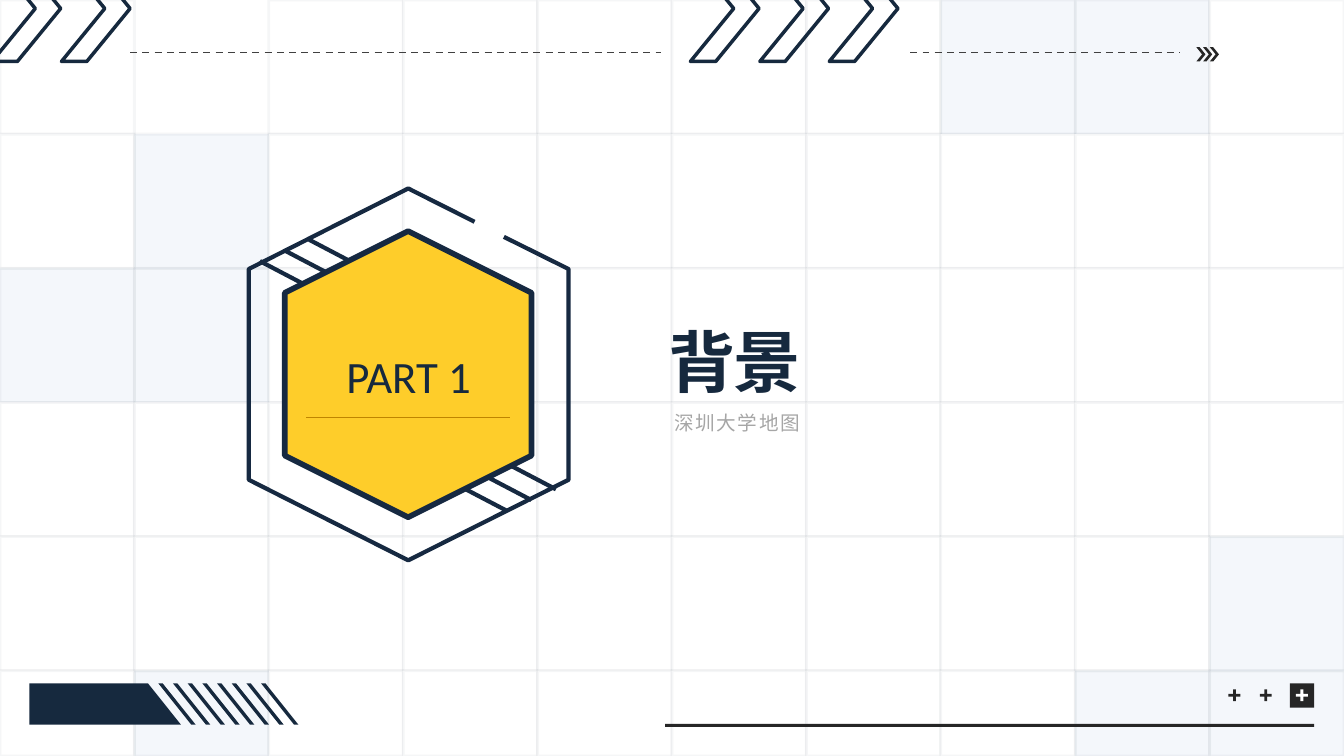
from pptx import Presentation
from pptx.dml.color import RGBColor
from pptx.enum.dml import MSO_LINE
from pptx.enum.shapes import MSO_CONNECTOR, MSO_SHAPE
from pptx.enum.text import MSO_ANCHOR, MSO_AUTO_SIZE, PP_ALIGN
from pptx.oxml.ns import qn
from pptx.util import Cm, Pt
from lxml import etree

RECT, HEXAGON = MSO_SHAPE.RECTANGLE, MSO_SHAPE.HEXAGON
CHEVRON, PLUS = MSO_SHAPE.CHEVRON, MSO_SHAPE.CROSS
STRAIGHT, DASH = MSO_CONNECTOR.STRAIGHT, MSO_LINE.DASH
LEFT, CENTER = PP_ALIGN.LEFT, PP_ALIGN.CENTER
TOP, MIDDLE = MSO_ANCHOR.TOP, MSO_ANCHOR.MIDDLE

THEME = {
    "white": "FFFFFF", "navy": "16293E", "outline": "162941", "tint": "E0E9F4",
    "yellow": "FECD2A", "gold": "BF8500", "ink": "262626", "dash": "404040",
    "muted": "A6A6A6", "latin": "Calibri", "cjk": "Noto Sans CJK SC",
    "title": 48, "part": 32, "subtitle": 14,
}

# text, box (left, top, width, height), alignment, anchor, line spacing, tracking, font
TEXTS = [
    ("深圳大学地图", (16.76, 10.24, 11.96, 0.86), LEFT, TOP, 1.0, 100,
     {"name": "cjk", "size": "subtitle", "color": "muted", "bold": False}),
    ("背景", (16.59, 7.54, 12.29, 2.72), LEFT, TOP, 1.2, -100,
     {"name": "cjk", "size": "title", "color": "navy", "bold": True}),
    ("PART 1", (7.52, 8.64, 5.56, 1.63), CENTER, MIDDLE, 1.0, 0,
     {"name": "latin", "size": "part", "color": "navy", "bold": False}),
]

# Background grid, cells given as (column, row)
SLIDE_W, SLIDE_H = 33.87, 19.05
COLS, ROWS, ROW_STEP = 10, 6, 3.38
EMPTY_CELL = (1, 0)
TINTED_CELLS = {(7, 0), (8, 0), (1, 1), (0, 2), (1, 2), (9, 4), (1, 5), (8, 5), (9, 5)}

FRAME = [(12.7, 5.97), (14.33, 6.78), (14.33, 12.09), (10.29, 14.12),
         (6.27, 12.09), (6.27, 6.78), (10.29, 4.75), (11.96, 5.59)]
HATCH_STARTS = [(6.55, 6.58), (11.53, 12.22)]
CHEVRON_GROUPS = [(-0.2, 2), (17.4, 3)]  # left edge, count
DASHED_RULES = [(3.28, 16.66), (22.94, 29.74)]
PLUS_SIGNS = [(30.96, "ink"), (31.75, "ink"), (32.66, "white")]
BANNER_TOP, BANNER_BOTTOM = 17.22, 18.26
STRIPES, STRIPE_LEFT, STRIPE_STEP = 8, 3.99, 0.37
STRIPE_W, SLANT = 0.11, 0.83

prs = Presentation()
prs.slide_width, prs.slide_height = Cm(SLIDE_W), Cm(SLIDE_H)
s = prs.slides.add_slide(prs.slide_layouts[6])


def color(name):
    return RGBColor.from_string(THEME[name])


def set_alpha(fill_parent, percent):
    """Make the solid fill directly inside the given element translucent."""
    clr = fill_parent.find(qn("a:solidFill"))[0]
    etree.SubElement(clr, qn("a:alpha")).set("val", str(percent * 1000))


def paint(sp, fill=None, line=None, width=1):
    sp.shadow.inherit = False
    if fill:
        sp.fill.solid()
        sp.fill.fore_color.rgb = color(fill)
    else:
        sp.fill.background()
    if line:
        sp.line.color.rgb = color(line)
        sp.line.width = Pt(width)
    else:
        sp.line.fill.background()
    return sp


def add_shape(kind, box, adj=None, **look):
    sp = s.shapes.add_shape(kind, *(Cm(v) for v in box))
    if adj is not None:
        sp.adjustments[0] = adj
    return paint(sp, **look)


def add_outline(points, close=True, **look):
    start, *rest = [(Cm(x), Cm(y)) for x, y in points]
    builder = s.shapes.build_freeform(*start)
    builder.add_line_segments(rest, close=close)
    return paint(builder.convert_to_shape(), **look)


def add_line(x1, y1, x2, y2, line, width, dash=None):
    sp = s.shapes.add_connector(STRAIGHT, Cm(x1), Cm(y1), Cm(x2), Cm(y2))
    sp.line.color.rgb = color(line)
    sp.line.width = Pt(width)
    if dash:
        sp.line.dash_style = dash
    etree.SubElement(sp._element.spPr, qn("a:effectLst"))


def add_text(text, box, align, anchor, spacing, tracking, font):
    tf = s.shapes.add_textbox(*(Cm(v) for v in box)).text_frame
    frame = {"word_wrap": True, "auto_size": MSO_AUTO_SIZE.SHAPE_TO_FIT_TEXT,
             "vertical_anchor": anchor}
    for key, value in frame.items():
        setattr(tf, key, value)
    p = tf.paragraphs[0]
    p.alignment, p.line_spacing = align, spacing
    r = p.add_run()
    r.text = text
    r.font.color.rgb = color(font["color"])
    face = THEME[font["name"]]
    values = {"name": face, "size": Pt(THEME[font["size"]]), "bold": font["bold"]}
    for key, value in values.items():
        setattr(r.font, key, value)
    rpr = r._r.get_or_add_rPr()
    rpr.set("spc", str(tracking))
    etree.SubElement(rpr, qn("a:ea")).set("typeface", face)


def draw_grid():
    col_w = SLIDE_W / COLS
    for row in range(ROWS):
        top = row * ROW_STEP
        height = min(col_w, SLIDE_H - top)
        for col in range(COLS):
            if (col, row) == EMPTY_CELL:
                continue
            tinted = (col, row) in TINTED_CELLS
            sp = add_shape(RECT, (col * col_w, top, col_w, height),
                           fill="tint" if tinted else "white", line="navy", width=2)
            if tinted:
                set_alpha(sp._element.spPr, 34)
            set_alpha(sp._element.spPr.find(qn("a:ln")), 3)


def draw_badge():
    add_outline(FRAME, close=False, line="outline", width=3)
    for x, y in HATCH_STARTS:
        for i in range(3):
            x1, y1 = x + 0.62 * i, y - 0.27 * i
            add_line(x1, y1, x1 + 1.24, y1 + 0.65, "outline", 3)
    sp = add_shape(HEXAGON, (6.68, 6.32, 7.21, 6.22), fill="yellow", line="outline", width=4)
    sp.rotation = 90


def draw_header():
    for left, count in CHEVRON_GROUPS:
        for i in range(count):
            add_shape(CHEVRON, (left + 1.75 * i, -1.12, 1.73, 2.67), 0.631,
                      line="navy", width=2.5)
    for x1, x2 in DASHED_RULES:
        add_line(x1, 1.32, x2, 1.32, "dash", 1.25, DASH)
    for i in range(3):
        add_shape(CHEVRON, (30.15 + 0.17 * i, 1.19, 0.23, 0.36), 0.631, fill="ink")


def draw_footer():
    add_shape(RECT, (32.51, 17.22, 0.61, 0.61), fill="ink")
    for left, fill in PLUS_SIGNS:
        add_shape(PLUS, (left, 17.37, 0.3, 0.3), 0.382, fill=fill)
    add_shape(RECT, (16.76, 18.24, 16.36, 0.08), fill="ink")
    add_outline([(0.74, BANNER_TOP), (3.73, BANNER_TOP),
                 (3.73 + SLANT, BANNER_BOTTOM), (0.74, BANNER_BOTTOM)], fill="navy")
    for i in range(STRIPES):
        x = STRIPE_LEFT + STRIPE_STEP * i
        add_outline([(x, BANNER_TOP), (x + STRIPE_W, BANNER_TOP),
                     (x + STRIPE_W + SLANT, BANNER_BOTTOM), (x + SLANT, BANNER_BOTTOM)],
                    fill="navy")


draw_grid()
draw_badge()
for entry in TEXTS:
    add_text(*entry)
add_line(7.72, 10.52, 12.85, 10.52, "gold", 1)
draw_header()
draw_footer()
prs.save("out.pptx")
